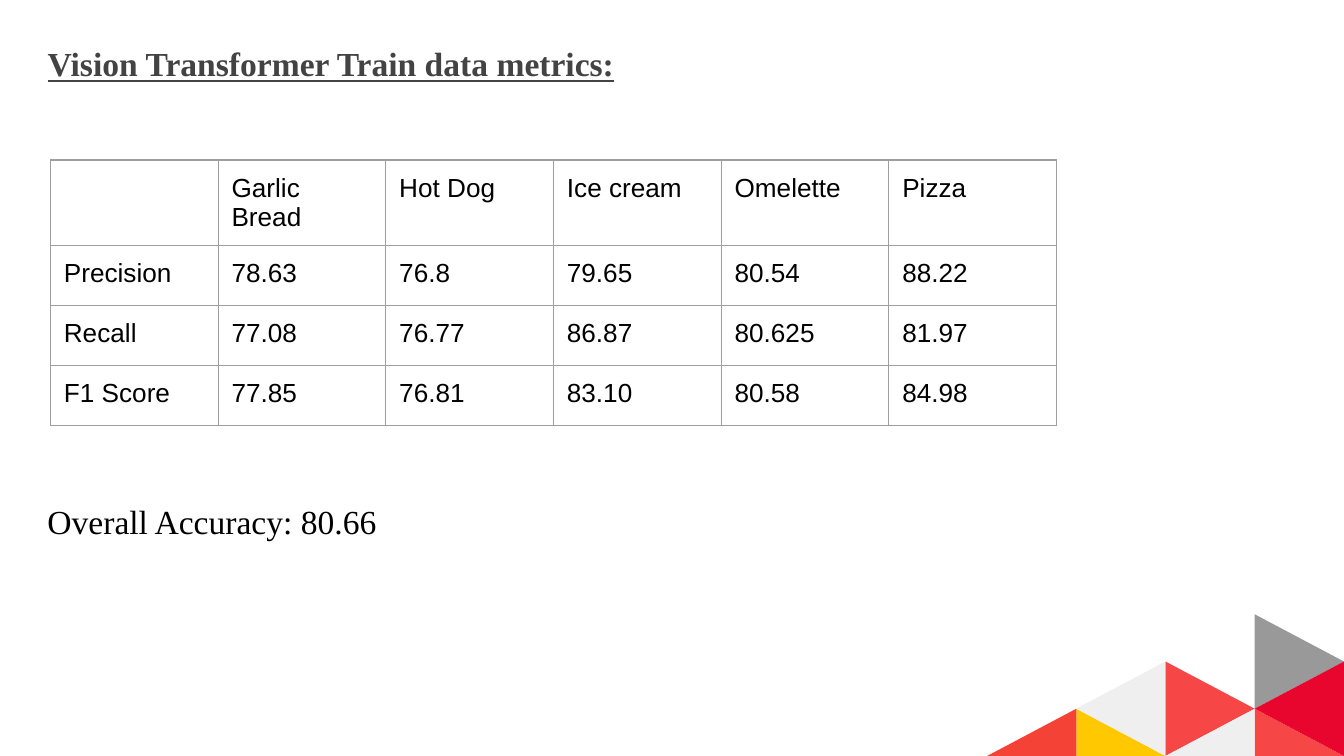
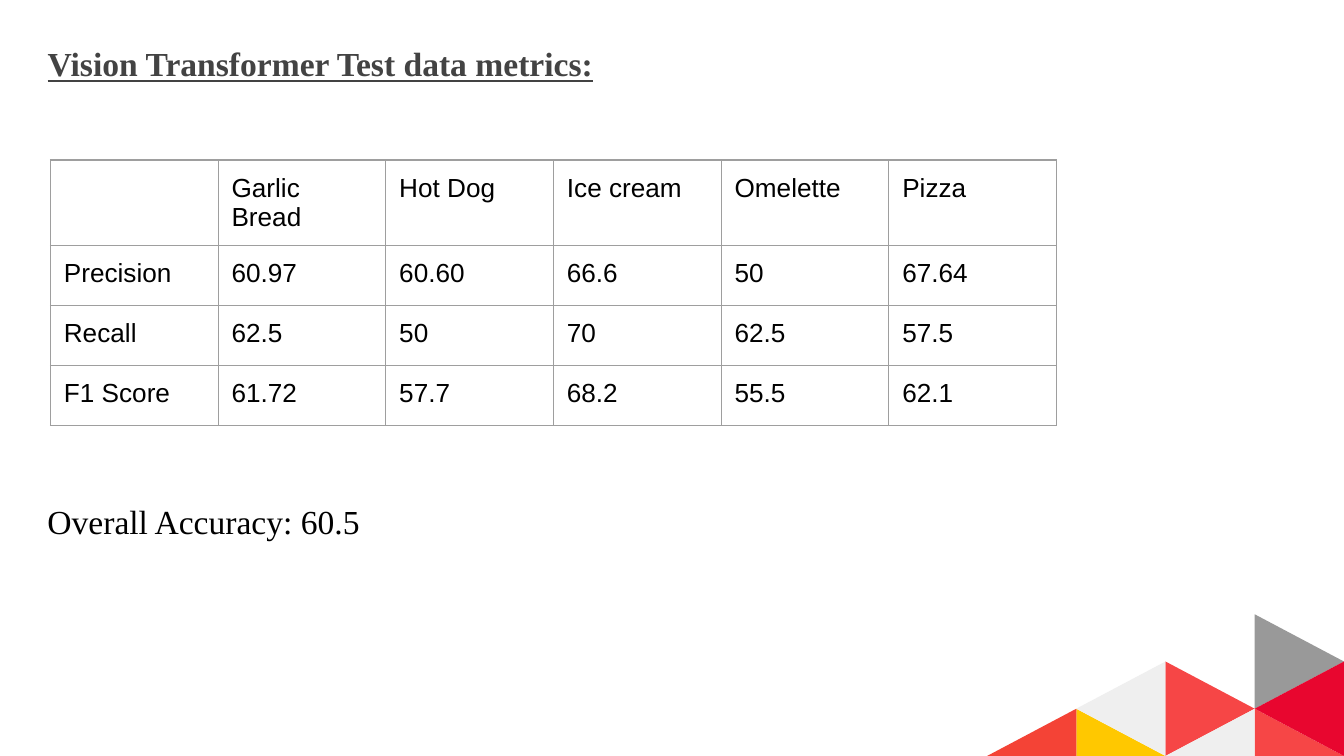
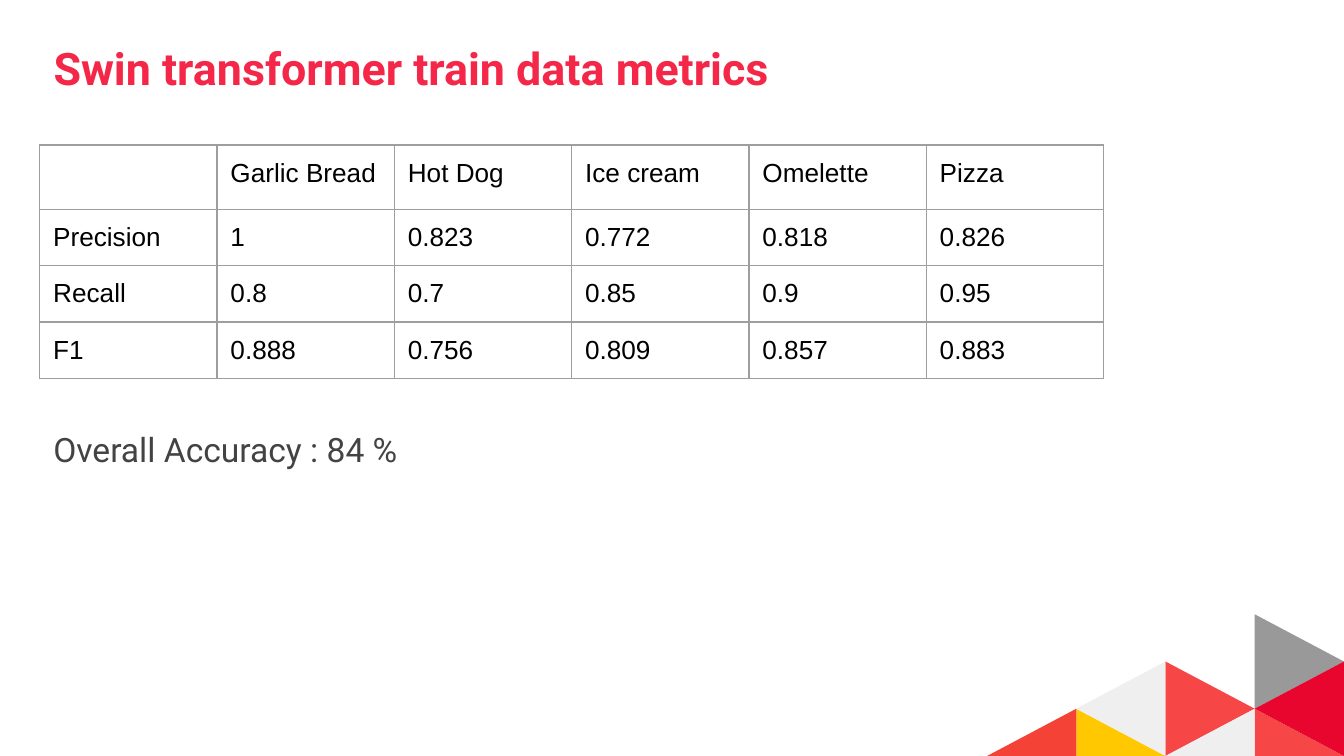
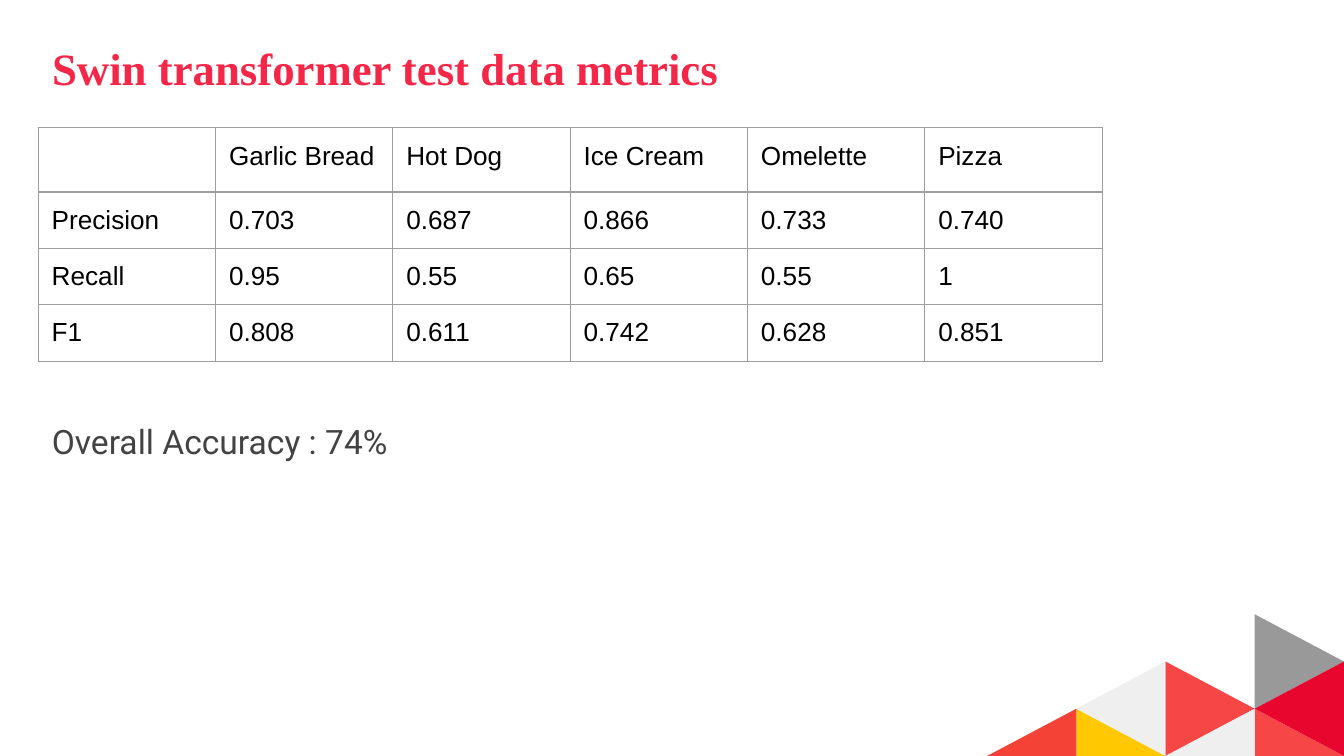
from lxml.etree import SubElement
from pptx import Presentation
from pptx.dml.color import RGBColor
from pptx.enum.text import MSO_ANCHOR, MSO_AUTO_SIZE, PP_ALIGN
from pptx.oxml.ns import qn
from pptx.util import Pt

COLORS = {
    "white": "FFFFFF", "black": "000000", "dark": "434343", "title": "F42748",
    "border": "9E9E9E", "gray": "999999", "yellow": "FFC800", "coral": "F64646",
    "light": "EFEFEF", "crimson": "E8062F", "red": "F44336",
}
SERIF, SANS, TABLE_FONT = "Times New Roman", "Roboto", "Arial"
WIDTH, HEIGHT, INSET = 720, 405, 7.2
TRI_W, TRI_H, TRI_COLS, TRI_ROWS = 47.8, 25.3, 4, 3
TRIANGLES = [
    ("gray", [(3, 0), (3, 2), (4, 1)]),
    ("yellow", [(1, 2), (1, 3), (2, 3)]),
    ("coral", [(2, 1), (2, 3), (3, 2)]),
    ("coral", [(3, 2), (3, 3), (4, 3)]),
    ("light", [(2, 1), (1, 2), (2, 3)]),
    ("light", [(3, 2), (2, 3), (3, 3)]),
    ("crimson", [(4, 1), (3, 2), (4, 3)]),
    ("red", [(1, 2), (0, 3), (1, 3)]),
]


def rgb(name):
    return RGBColor.from_string(COLORS[name])


class Deck:
    def __init__(self):
        self.prs = Presentation()
        self.prs.slide_width, self.prs.slide_height = Pt(WIDTH), Pt(HEIGHT)
        self.layout = self.prs.slide_layouts[5]
        fill = self.prs.slide_master.background.fill
        fill.solid()
        fill.fore_color.rgb = rgb("white")
        self.s = None

    def add_slide(self):
        self.s = self.prs.slides.add_slide(self.layout)
        if len(self.prs.slides) == 1:
            self.corner_triangles()

    def corner_triangles(self):
        for i, (color, corners) in enumerate(TRIANGLES):
            points = [(Pt(WIDTH - (TRI_COLS - col) * TRI_W),
                       Pt(HEIGHT - (TRI_ROWS - row) * TRI_H)) for col, row in corners]
            builder = self.s.shapes.build_freeform(*points[0])
            builder.add_line_segments(points[1:], close=True)
            sp = builder.convert_to_shape()
            sp.name = f"Corner triangle {i + 1}"
            sp.shadow.inherit = False
            sp.fill.solid()
            sp.fill.fore_color.rgb = rgb(color)
            sp.line.fill.background()
            element = sp._element
            element.nvSpPr.cNvPr.set("id", str(100 + i))
            self.layout.shapes._spTree.append(element)

    def set_text(self, sp, box, text, font, size, color, bold=False, underline=False):
        sp.left, sp.top, sp.width, sp.height = (Pt(v) for v in box)
        tf = sp.text_frame
        tf.text = text
        tf.word_wrap = True
        tf.auto_size = MSO_AUTO_SIZE.NONE
        tf.vertical_anchor = MSO_ANCHOR.TOP
        tf.margin_left = tf.margin_right = tf.margin_top = tf.margin_bottom = Pt(INSET)
        p = tf.paragraphs[0]
        p.alignment = PP_ALIGN.LEFT
        f = p.runs[0].font
        f.name, f.size, f.bold, f.underline = font, Pt(size), bold, underline
        f.color.rgb = rgb(color)

    def title(self, box, text, *style, **options):
        self.set_text(self.s.shapes.title, box, text, *style, bold=True, **options)

    def text(self, box, text, *style):
        self.set_text(self.s.shapes.add_textbox(0, 0, 0, 0), box, text, *style)

    def table(self, left, top, col_width, row_heights, rows):
        cols = len(rows[0])
        table = self.s.shapes.add_table(
            len(rows), cols, Pt(left), Pt(top),
            Pt(col_width * cols), Pt(sum(row_heights))).table
        table.first_row = table.horz_banding = False
        for column in table.columns:
            column.width = Pt(col_width)
        for row, height, values in zip(table.rows, row_heights, rows):
            row.height = Pt(height)
            for cell, value in zip(row.cells, values):
                self.cell(cell, value)

    def cell(self, cell, value):
        cell.text = value
        cell.margin_left = cell.margin_right = Pt(INSET)
        cell.margin_top = cell.margin_bottom = Pt(INSET)
        p = cell.text_frame.paragraphs[0]
        for r in p.runs:
            r.font.name, r.font.size = TABLE_FONT, Pt(14)
            r.font.color.rgb = rgb("black")
        if not value:
            p._p.get_or_add_endParaRPr().set("sz", "1400")
        tc_pr = cell._tc.get_or_add_tcPr()
        for side in ("lnL", "lnR", "lnT", "lnB"):
            line = SubElement(tc_pr, qn(f"a:{side}"), w=str(Pt(0.75)))
            fill = SubElement(line, qn("a:solidFill"))
            SubElement(fill, qn("a:srgbClr"), val=COLORS["border"])
        cell.fill.background()


def metrics(foods, **scores):
    return [["", *foods]] + [[name.replace("_", " "), *values.split()]
                             for name, values in scores.items()]


def main():
    deck = Deck()
    foods = ["Garlic Bread", "Hot Dog", "Ice cream", "Omelette", "Pizza"]
    foods_capital = [food.replace("cream", "Cream") for food in foods]

    vision = [
        ("Train", "80.66", metrics(
            foods,
            Precision="78.63 76.8 79.65 80.54 88.22",
            Recall="77.08 76.77 86.87 80.625 81.97",
            F1_Score="77.85 76.81 83.10 80.58 84.98")),
        ("Test", "60.5", metrics(
            foods,
            Precision="60.97 60.60 66.6 50 67.64",
            Recall="62.5 50 70 62.5 57.5",
            F1_Score="61.72 57.7 68.2 55.5 62.1")),
    ]
    for part, accuracy, rows in vision:
        deck.add_slide()
        deck.title((18.3, 16, 680, 36), f"Vision Transformer {part} data metrics:",
                   SERIF, 18, "dark", underline=True)
        deck.table(27, 85.7, 89.85, [45.7, 32.2, 32.2, 32.2], rows)
        deck.text((18.3, 261, 680, 36), f"Overall Accuracy: {accuracy}",
                  SERIF, 18, "black")

    swin = [
        ("train", SANS, (21.5, 14.4, 569.5, 52.5), 77.7, (21.5, 222.5, 227, 39), "84 %",
         metrics(foods,
                 Precision="1 0.823 0.772 0.818 0.826",
                 Recall="0.8 0.7 0.85 0.9 0.95",
                 F1="0.888 0.756 0.809 0.857 0.883")),
        ("test", SERIF, (20.7, 14.6, 508, 42), 68.5, (20.7, 218.2, 208, 39), "74%",
         metrics(foods_capital,
                 Precision="0.703 0.687 0.866 0.733 0.740",
                 Recall="0.95 0.55 0.65 0.55 1",
                 F1="0.808 0.611 0.742 0.628 0.851")),
    ]
    for part, font, title_box, table_top, accuracy_box, accuracy, rows in swin:
        deck.add_slide()
        deck.title(title_box, f"Swin transformer {part} data metrics", font, 24, "title")
        deck.table(title_box[0] - 0.2, table_top, 95, [34.4, 30.2, 30.2, 30.2], rows)
        deck.text(accuracy_box, f"Overall Accuracy : {accuracy}", SANS, 18, "dark")

    deck.prs.save("out.pptx")


if __name__ == "__main__":
    main()
